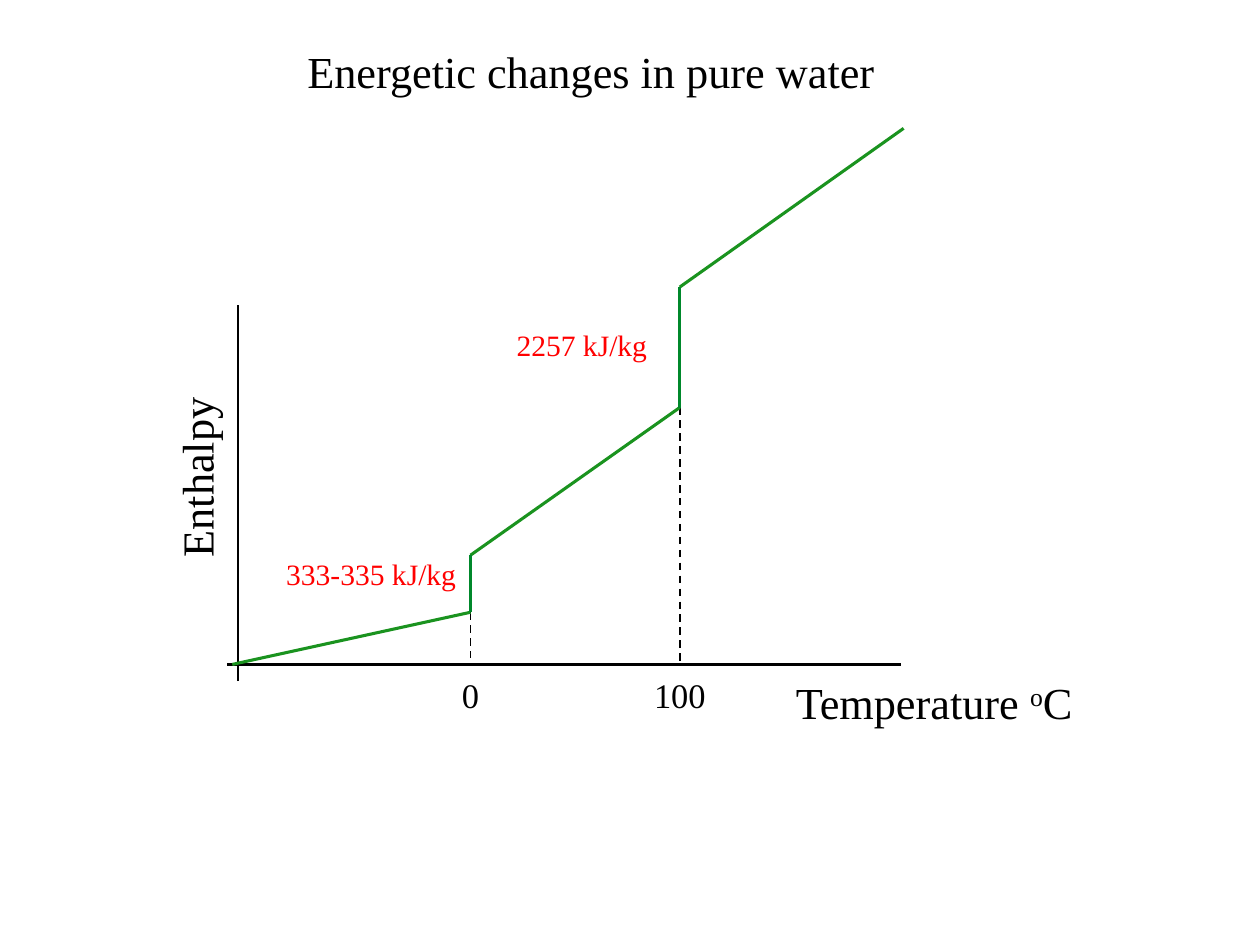
from lxml.etree import SubElement
from pptx import Presentation
from pptx.dml.color import RGBColor
from pptx.enum.dml import MSO_LINE_DASH_STYLE as Dash
from pptx.enum.shapes import MSO_CONNECTOR as Connector
from pptx.enum.text import MSO_ANCHOR as Anchor, PP_ALIGN as Align
from pptx.oxml.ns import qn
from pptx.util import Inches, Pt

BLACK = RGBColor(0x00, 0x00, 0x00)
RED = RGBColor(0xFF, 0x00, 0x00)
HEATING_GREEN = RGBColor(0x1A, 0x93, 0x1F)
TRANSITION_GREEN = RGBColor(0x00, 0x88, 0x2B)
COLUMNS, ROWS = 64, 48


class DiagramSlide:
    font_name = "Times New Roman"
    inset = 0.27

    def __init__(self, deck):
        self.slide = deck.slides.add_slide(deck.slide_layouts[6])
        self.column = deck.slide_width / COLUMNS
        self.row = deck.slide_height / ROWS

    def across(self, columns):
        return round(columns * self.column)

    def down(self, rows):
        return round(rows * self.row)

    def line(self, start, end, color=BLACK, width=2, dash=None):
        connector = self.slide.shapes.add_connector(
            Connector.STRAIGHT,
            self.across(start[0]), self.down(start[1]),
            self.across(end[0]), self.down(end[1]))
        connector.line.color.rgb = color
        connector.line.width = Pt(width)
        if dash:
            connector.line.dash_style = dash
        SubElement(connector._element.spPr, qn("a:effectLst"))

    def label(self, center, size, pieces, points, color=BLACK, rotation=0):
        width, height = size
        box = self.slide.shapes.add_textbox(
            self.across(center[0] - width / 2), self.down(center[1] - height / 2),
            self.across(width), self.down(height))
        box.rotation = rotation
        frame = box.text_frame
        frame.word_wrap = True
        frame.vertical_anchor = Anchor.MIDDLE
        frame.margin_left = frame.margin_right = self.across(self.inset)
        frame.margin_top = frame.margin_bottom = self.down(self.inset)
        paragraph = frame.paragraphs[0]
        paragraph.alignment = Align.CENTER
        for wording, baseline in pieces:
            run = paragraph.add_run()
            run.text = wording
            run.font.name = self.font_name
            run.font.size = Pt(points)
            run.font.color.rgb = color
            if baseline:
                run._r.get_or_add_rPr().set("baseline", str(baseline * 1000))


deck = Presentation()
deck.slide_width, deck.slide_height = Inches(14.22), Inches(10.67)
diagram = DiagramSlide(deck)

axis_x, axis_y = 12.1, 33.75
freezing_x, boiling_x = 23.9, 34.53
ice = (freezing_x, 31.1)
melted = (freezing_x, 28.2)
boiling = (boiling_x, 20.7)
steam = (boiling_x, 14.58)

diagram.label((30.3, 3.6), (46.1, 4.2), [("Energetic changes in pure water ", 0)], 36)

diagram.line((axis_x, 34.6), (axis_x, 15.5))
diagram.line((11.55, axis_y), (45.75, axis_y))
for threshold in (ice, boiling):
    diagram.line(threshold, (threshold[0], axis_y), width=1.5, dash=Dash.DASH)

for start, end in (((11.8, axis_y), ice), (melted, boiling), (steam, (45.9, 6.52))):
    diagram.line(start, end, HEATING_GREEN, 2.5)
for start, end in ((melted, ice), (steam, boiling)):
    diagram.line(start, end, TRANSITION_GREEN, 2.5)

for center, heat in (((29.55, 17.5), "2257 kJ/kg"), ((18.85, 29.15), "333-335 kJ/kg")):
    diagram.label(center, (10.5, 2.6), [(heat, 0)], 24, RED)
for threshold_x, degrees in ((freezing_x, "0"), (boiling_x, "100")):
    diagram.label((threshold_x, 35.3), (4.3, 3.2), [(degrees, 0)], 28)

diagram.label((9.95, 24.25), (9.3, 3.2), [("Enthalpy", 0)], 36, rotation=270)
diagram.label((47.45, 35.65), (16.65, 3.2),
              [("Temperature ", 0), ("o", 30), ("C", 0)], 36)

deck.save("out.pptx")
